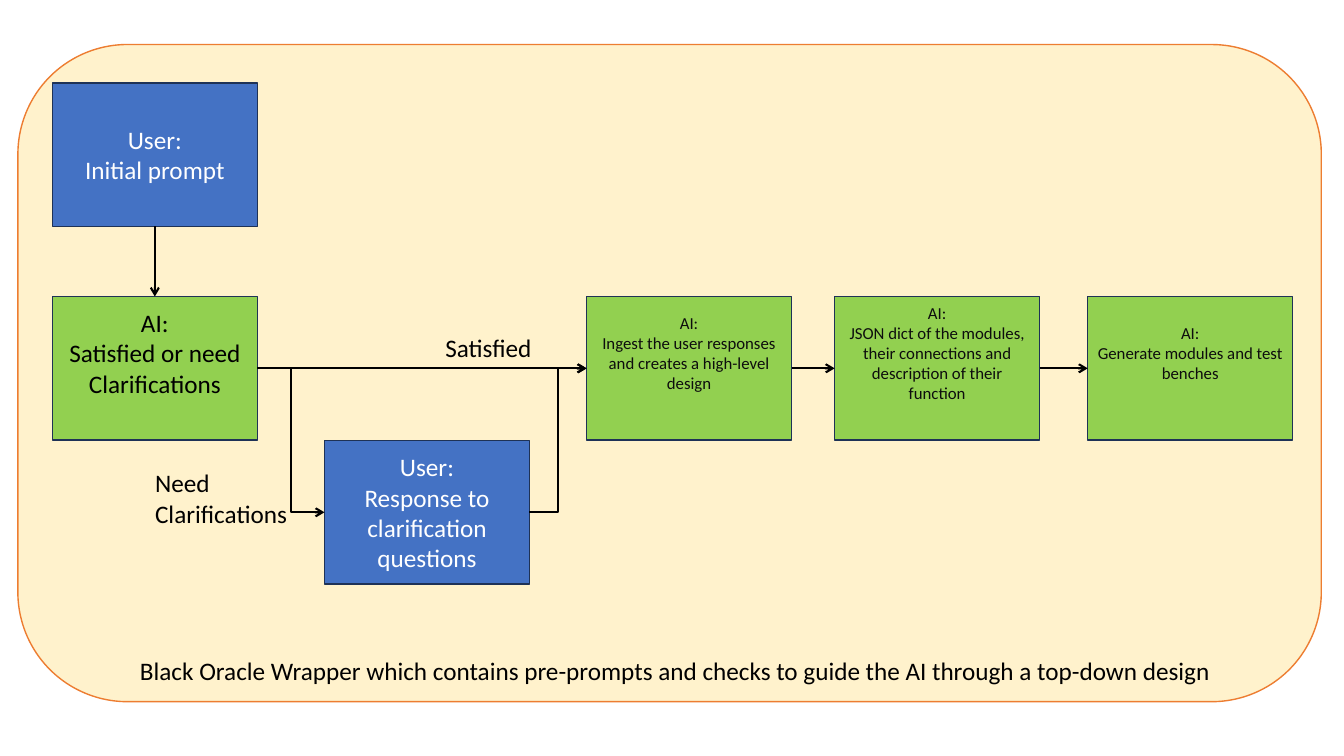
from lxml import etree
from pptx import Presentation
from pptx.dml.color import RGBColor
from pptx.enum.shapes import MSO_CONNECTOR, MSO_SHAPE
from pptx.enum.text import MSO_ANCHOR, MSO_AUTO_SIZE, PP_ALIGN
from pptx.oxml.ns import qn
from pptx.util import Pt

RECT, ROUND_RECT = MSO_SHAPE.RECTANGLE, MSO_SHAPE.ROUNDED_RECTANGLE
STRAIGHT, ELBOW = MSO_CONNECTOR.STRAIGHT, MSO_CONNECTOR.ELBOW
LEFT, CENTER = PP_ALIGN.LEFT, PP_ALIGN.CENTER
MIDDLE, GROW = MSO_ANCHOR.MIDDLE, MSO_AUTO_SIZE.SHAPE_TO_FIT_TEXT
SITE_TOP, SITE_LEFT, SITE_BOTTOM, SITE_RIGHT = range(4)

COLORS = {
    "wrapper": "FFF2CC", "wrapper_line": "ED7D31",
    "user": "4472C4", "ai": "92D050", "box_line": "1E3256",
    "white": "FFFFFF", "black": "000000", "dark": "0D0D0D",
}
BOX_W, BOX_H = 146.4, 102.6
ROW_PROMPT, ROW_AI, ROW_REPLY = 59.2, 211.8, 314.6
COL_START, COL_REPLY, COL_INGEST, COL_JSON, COL_GENERATE = 37.4, 231.8, 419, 596.2, 777


def rgb(name):
    """Return the palette colour of that name."""
    return RGBColor.from_string(COLORS[name])


def write_text(sp, text, size=18, color="black", align=LEFT):
    """Write text into a shape; \\n parts paragraphs and \\v parts lines."""
    tf = sp.text_frame
    tf.text = text
    for p in tf.paragraphs:
        p.alignment = align
        for r in p.runs:
            r.font.name = "Calibri"
            r.font.size = Pt(size)
            r.font.color.rgb = rgb(color)


def add_panel(s, kind, x, y, w, h, fill, line):
    """Add a filled and outlined shape without shadow."""
    sp = s.shapes.add_shape(kind, Pt(x), Pt(y), Pt(w), Pt(h))
    sp.shadow.inherit = False
    sp.fill.solid()
    sp.fill.fore_color.rgb = rgb(fill)
    sp.line.color.rgb = rgb(line)
    sp.line.width = Pt(1)
    return sp


def add_step(s, x, y, text, fill, bottom=3.6, **fmt):
    """Add a flow box with centred text above the given bottom inset."""
    sp = add_panel(s, RECT, x, y, BOX_W, BOX_H, fill, "box_line")
    write_text(sp, text, align=CENTER, **fmt)
    tf = sp.text_frame
    tf.word_wrap = True
    tf.vertical_anchor = MIDDLE
    tf.margin_bottom = Pt(bottom)
    return sp


def add_user(s, x, y, text):
    """Add a user step."""
    return add_step(s, x, y, text, "user", color="white")


def add_ai(s, x, text, **fmt):
    """Add an AI step, its text raised by one line."""
    return add_step(s, x, ROW_AI, text, "ai", bottom=25.6, **fmt)


def add_label(s, x, y, w, h, text, wrap=True):
    """Add a text box that grows with its text."""
    sp = s.shapes.add_textbox(Pt(x), Pt(y), Pt(w), Pt(h))
    write_text(sp, text)
    sp.text_frame.word_wrap = wrap
    sp.text_frame.auto_size = GROW


def add_arrow(s, start, end, kind=STRAIGHT, out=SITE_RIGHT, into=SITE_LEFT):
    """Add an arrow glued to two steps."""
    cxn = s.shapes.add_connector(kind, 0, 0, 0, 0)
    cxn.begin_connect(start, out)
    cxn.end_connect(end, into)
    cxn.line.color.rgb = rgb("black")
    cxn.line.width = Pt(1.5)
    etree.SubElement(cxn.line._get_or_add_ln(), qn("a:tailEnd"), type="arrow")
    etree.SubElement(cxn._element.spPr, qn("a:effectLst"))


def main():
    """Build the flow chart slide."""
    prs = Presentation()
    prs.slide_width, prs.slide_height = Pt(960), Pt(540)
    s = prs.slides.add_slide(prs.slide_layouts[6])

    add_panel(s, ROUND_RECT, 12.8, 31.8, 931, 469.4, "wrapper", "wrapper_line")
    prompt = add_user(s, COL_START, ROW_PROMPT, "User:\vInitial prompt")
    check = add_ai(s, COL_START, "AI:\nSatisfied or need Clarifications")
    reply = add_user(s, COL_REPLY, ROW_REPLY,
                     "User:\vResponse to clarification questions")
    ingest, modules, generate = [
        add_ai(s, x, "AI:\n" + text, size=12, color="dark")
        for x, text in (
            (COL_INGEST, "Ingest the user responses and creates a high-level design"),
            (COL_JSON, "JSON dict of the modules, their connections and "
                       "description of their function"),
            (COL_GENERATE, "Generate modules and test benches"),
        )
    ]

    add_arrow(s, prompt, check, out=SITE_BOTTOM, into=SITE_TOP)
    for start, end in ((check, ingest), (ingest, modules), (modules, generate)):
        add_arrow(s, start, end)
    add_arrow(s, check, reply, ELBOW)
    add_arrow(s, reply, ingest, ELBOW)

    add_label(s, 311, 234, 77, 29, "Satisfied", wrap=False)
    add_label(s, 103.7, 330.5, 137.5, 51, "Need\nClarifications")
    add_label(s, 92.9, 464.4, 798.5, 29,
              "Black Oracle Wrapper which contains pre-prompts and checks "
              "to guide the AI through a top-down design")
    prs.save("out.pptx")


main()
